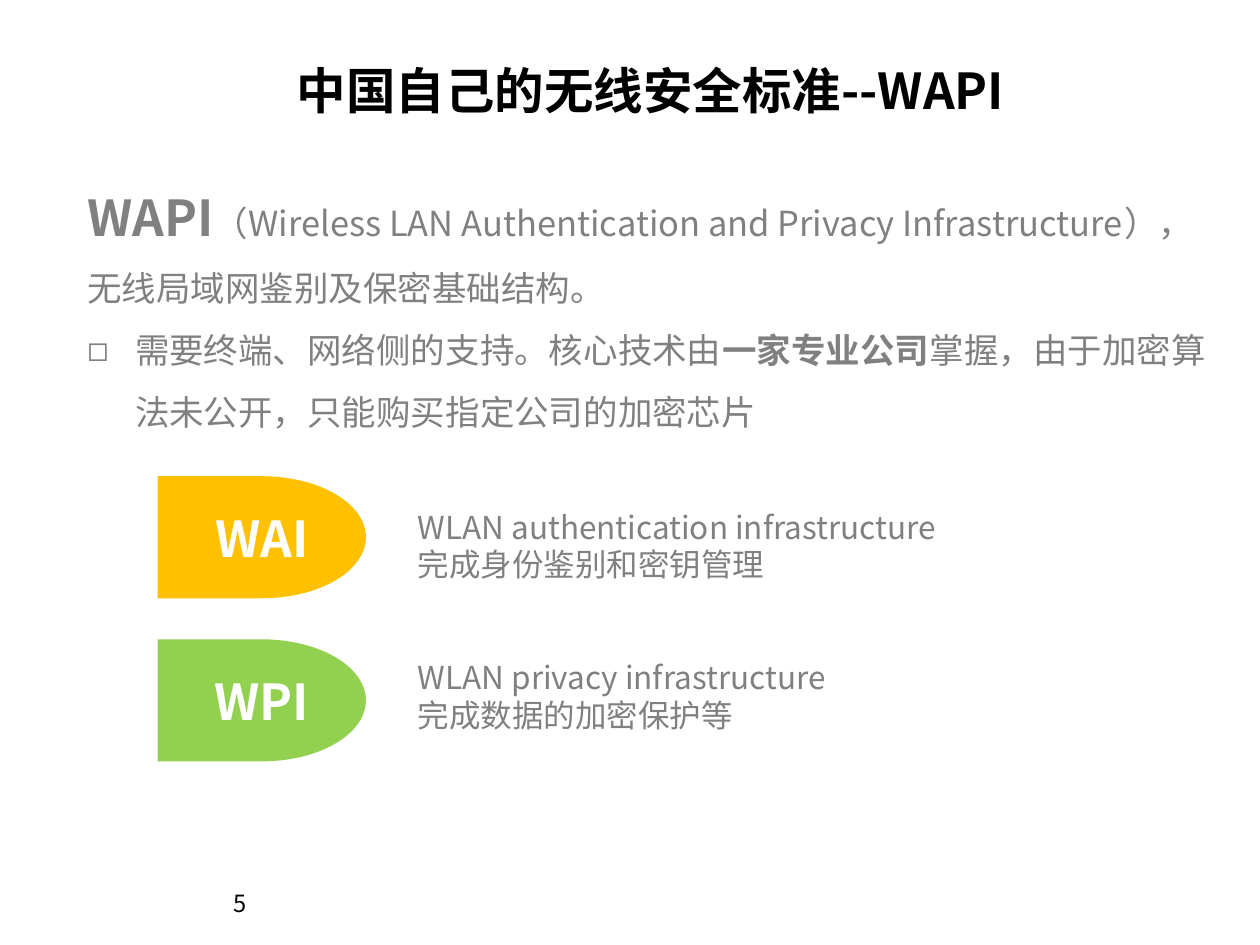
from dataclasses import dataclass

from lxml import etree
from pptx import Presentation
from pptx import util as u
from pptx.dml.color import RGBColor
from pptx.enum import shapes, text
from pptx.oxml.ns import qn


@dataclass(frozen=True)
class Theme:
    face: str = "Noto Sans CJK SC"
    black: str = "000000"
    gray: str = "808080"
    white: str = "FFFFFF"
    amber: str = "FFC000"
    green: str = "92D050"
    big: float = 33
    body: float = 23
    note: float = 21
    page: float = 15.8


THEME = Theme()
WIDE, HIGH = 11.67, 8.75


def style(font, size, color, bold=False):
    """Set Latin and East Asian type alike."""
    font.name, font.size, font.bold = THEME.face, u.Pt(size), bold
    font.color.rgb = RGBColor.from_string(color)
    east = etree.Element(qn("a:ea"), typeface=THEME.face)
    font._element.find(qn("a:latin")).addnext(east)


def place(shape, box):
    shape.left, shape.top, shape.width, shape.height = map(u.Inches, box)


def setup(frame, wrap=True):
    frame.word_wrap = wrap
    frame.auto_size = text.MSO_AUTO_SIZE.NONE
    frame.margin_left = frame.margin_right = u.Inches(0.12)
    frame.margin_top = frame.margin_bottom = u.Inches(0.06)


def label(slide, box, lines, size, color, bold=False, align=None):
    shape = slide.shapes.add_textbox(*map(u.Inches, box))
    frame = shape.text_frame
    setup(frame, wrap=False)
    frame.text = "\n".join(lines)
    for para in frame.paragraphs:
        para.alignment = align
        style(para.font, size, color, bold)


def heading(slide, box, words):
    title = slide.shapes.title
    place(title, box)
    setup(title.text_frame)
    title.text_frame.vertical_anchor = text.MSO_ANCHOR.MIDDLE
    title.text_frame.text = words
    para = title.text_frame.paragraphs[0]
    para.alignment = text.PP_ALIGN.CENTER
    style(para.font, THEME.big, THEME.black, True)


def bullet(para, mark=None, indent=0):
    """Give a hanging mark, or clear the inherited one."""
    props = para._p.get_or_add_pPr()
    props.set("marL", str(u.Inches(indent)))
    props.set("indent", str(-u.Inches(indent)))
    tag = etree.Element(qn("a:buChar" if mark else "a:buNone"))
    if mark:
        tag.set("char", mark)
    props.insert_element_before(tag, "a:tabLst", "a:defRPr", "a:extLst")


def intro(slide, box, items):
    body = slide.placeholders[1]
    place(body, box)
    frame = body.text_frame
    setup(frame)
    for i, (mark, indent, runs) in enumerate(items):
        para = frame.add_paragraph() if i else frame.paragraphs[0]
        para.line_spacing = 1.5
        para.space_before = u.Pt(0)
        bullet(para, mark, indent)
        for words, size, bold in runs:
            run = para.add_run()
            run.text = words
            style(run.font, size, THEME.gray, bold)


def part(slide, box, name, color, lines, drop):
    """Draw a coloured tab, its name and the lines beside it."""
    left, top, width, height = box
    tab = slide.shapes.add_shape(shapes.MSO_SHAPE.FLOWCHART_DELAY,
                                 *map(u.Inches, box))
    tab.shadow.inherit = False
    tab.fill.solid()
    tab.fill.fore_color.rgb = RGBColor.from_string(color)
    tab.line.fill.background()
    label(slide, (left + 0.36, top + 0.23, width - 0.72, 0.67), [name],
          THEME.big, THEME.white, True, text.PP_ALIGN.CENTER)
    label(slide, (left + 2.29, top + drop, 5.26, 0.82), lines,
          THEME.note, THEME.gray)


def main():
    deck = Presentation()
    deck.slide_width, deck.slide_height = u.Inches(WIDE), u.Inches(HIGH)
    slide = deck.slides.add_slide(deck.slide_layouts[1])

    # Title and introduction
    heading(slide, (0.97, 0.49, 10.11, 0.68), "中国自己的无线安全标准--WAPI")
    size = THEME.body
    intro(slide, (0.69, 1.4, 10.79, 2.71), [
        (None, 0, [
            ("WAPI", THEME.big, True),
            ("（Wireless LAN Authentication and Privacy Infrastructure），"
             "无线局域网鉴别及保密基础结构。", size, False)]),
        ("◻", 0.44, [
            ("需要终端、网络侧的支持。核心技术由", size, False),
            ("一家专业公司", size, True),
            ("掌握，由于加密算法未公开，只能购买指定公司的加密芯片",
             size, False)]),
    ])

    # The two parts of the standard
    parts = [
        ("WAI", THEME.amber, 0.23,
         ["WLAN authentication infrastructure", "完成身份鉴别和密钥管理"]),
        ("WPI", THEME.green, 0.11,
         ["WLAN privacy infrastructure", "完成数据的加密保护等"]),
    ]
    for row, (name, color, drop, lines) in enumerate(parts):
        box = (1.46, 4.41 + 1.51 * row, 1.93, 1.13)
        part(slide, box, name, color, lines, drop)

    # Page number
    label(slide, (2.04, 8.17, 1.17, 0.49), ["5"], THEME.page, THEME.black)
    deck.save("out.pptx")


if __name__ == "__main__":
    main()
